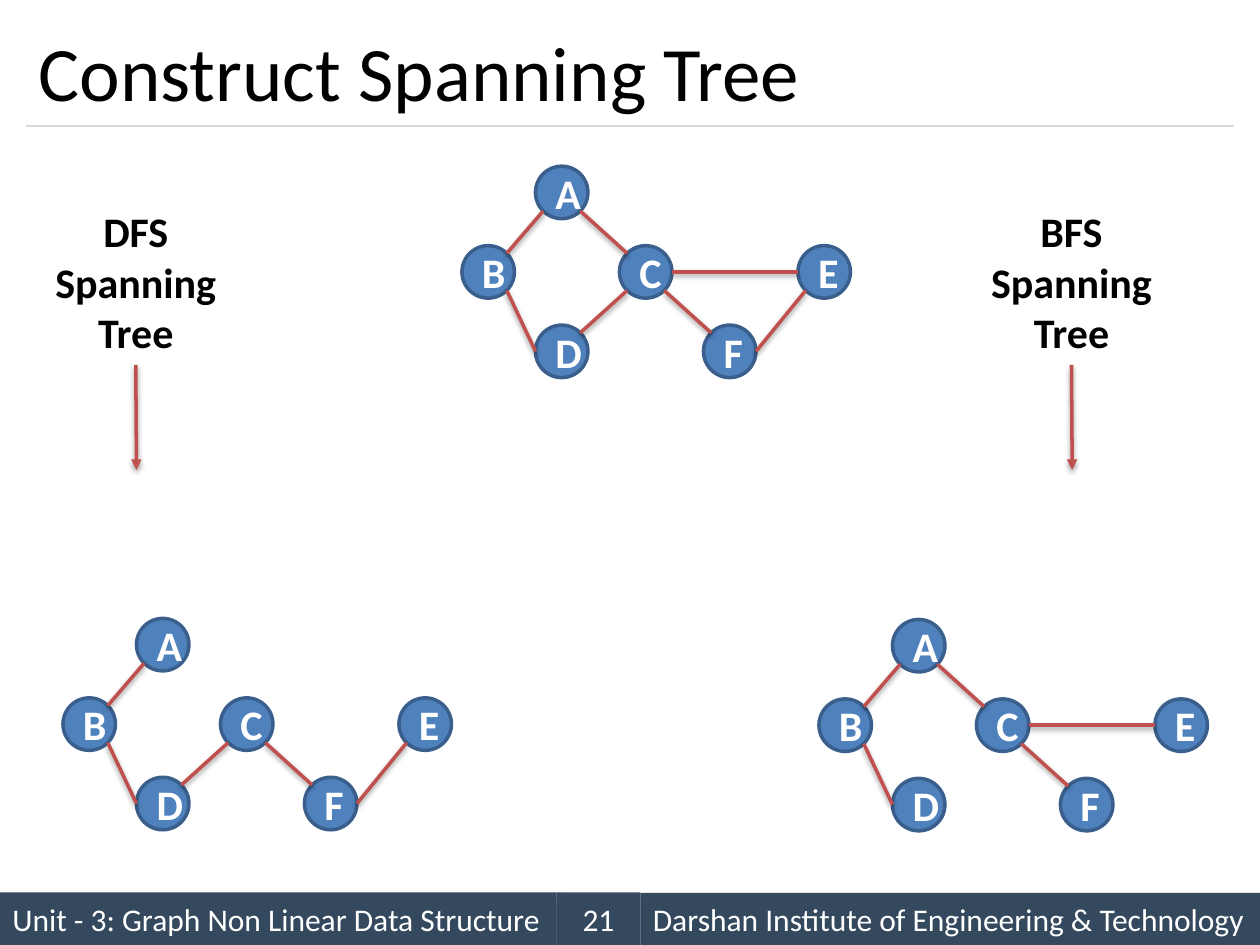
from math import cos, radians, sin

from lxml import etree
from pptx import Presentation
from pptx.dml.color import RGBColor
from pptx.enum.shapes import MSO_CONNECTOR, MSO_SHAPE
from pptx.enum.text import MSO_ANCHOR, PP_ALIGN
from pptx.oxml.ns import qn
from pptx.util import Pt


def rgb(hex_string):
    return RGBColor.from_string(hex_string)


def set_shadow(shape, blur=0, distance=0, angle=0, opacity=0):
    """Give the shape an outer shadow, or none when opacity is 0."""
    effects = etree.SubElement(shape._element.spPr, qn("a:effectLst"))
    if opacity:
        shadow = etree.SubElement(
            effects, qn("a:outerShdw"), blurRad=str(Pt(blur)), dist=str(Pt(distance)),
            dir=str(angle * 60000), rotWithShape="0")
        color = etree.SubElement(shadow, qn("a:srgbClr"), val="000000")
        etree.SubElement(color, qn("a:alpha"), val=str(opacity * 1000))


prs = Presentation()
prs.slide_width, prs.slide_height = Pt(720), Pt(540)
slide = prs.slides.add_slide(prs.slide_layouts[6])
shapes = slide.shapes

# Footer bar
footer = [
    ("Unit - 3: Graph Non Linear Data Structure", 0, 510, 318, PP_ALIGN.LEFT, 40),
    ("Darshan Institute of Engineering & Technology", 366, 510.3, 354, PP_ALIGN.LEFT, 40),
    ("21", 318, 510, 48, PP_ALIGN.CENTER, 0),
]
for text, left, top, width, alignment, opacity in footer:
    band = shapes.add_shape(MSO_SHAPE.RECTANGLE, Pt(left), Pt(top), Pt(width), Pt(30))
    band.fill.solid()
    band.fill.fore_color.rgb = rgb("34495E")
    band.line.fill.background()
    set_shadow(band, 4, 3, 45, opacity)
    paragraph = band.text_frame.paragraphs[0]
    paragraph.alignment = alignment
    run = paragraph.add_run()
    run.text = text
    run.font.name, run.font.size = "Calibri", Pt(18)
    run.font.color.rgb = rgb("FFFFFF")

# Title and the rule below it
title = shapes.add_textbox(Pt(15), Pt(9), Pt(690), Pt(63)).text_frame
title.word_wrap = True
title.vertical_anchor = MSO_ANCHOR.MIDDLE
run = title.paragraphs[0].add_run()
run.text = "Construct Spanning Tree"
run.font.name, run.font.size = "Calibri", Pt(44)
run.font.color.rgb = rgb("000000")

rule = shapes.add_connector(MSO_CONNECTOR.STRAIGHT, Pt(15), Pt(72), Pt(705), Pt(72))
rule.line.color.rgb = rgb("D9D9D9")
rule.line.width = Pt(0.75)
set_shadow(rule)

# Graph layout: node offsets, and the angle at which each edge leaves its two nodes
DIAMETER, ROW = 30, 45.4
offsets = {"A": (42, 0), "B": (0, ROW), "C": (90, ROW),
           "D": (42, 2 * ROW), "E": (192, ROW), "F": (138, 2 * ROW)}
edge_angles = {"AB": (135, 315), "AC": (45, 225), "BD": (45, 180), "DC": (315, 135),
               "CE": (0, 180), "CF": (45, 225), "EF": (135, 0)}
graphs = [
    (264, 95, edge_angles),  # full graph
    (36, 353.4, ["AB", "BD", "DC", "CF", "EF"]),  # DFS tree
    (468, 354, ["AB", "AC", "BD", "CE", "CF"]),  # BFS tree
]
red_lines = []
for left, top, edges in graphs:
    for letter, (dx, dy) in offsets.items():
        node = shapes.add_shape(MSO_SHAPE.OVAL, Pt(left + dx), Pt(top + dy),
                                Pt(DIAMETER), Pt(DIAMETER))
        node.fill.solid()
        node.fill.fore_color.rgb = rgb("4F81BD")
        node.line.color.rgb = rgb("3A5F8C")
        node.line.width = Pt(2)
        node.shadow.inherit = False
        paragraph = node.text_frame.paragraphs[0]
        paragraph.alignment = PP_ALIGN.CENTER
        run = paragraph.add_run()
        run.text = letter
        run.font.name, run.font.size, run.font.bold = "Calibri", Pt(24), True
        run.font.color.rgb = rgb("FFFFFF")
    radius = DIAMETER / 2
    for edge in edges:
        ends = []
        for letter, angle in zip(edge, edge_angles[edge]):
            dx, dy = offsets[letter]
            ends += [left + dx + radius * (1 + cos(radians(angle))),
                     top + dy + radius * (1 + sin(radians(angle)))]
        red_lines.append((ends, False))

# Tree labels, each with an arrow below
for method, center in [("DFS", 77.6), ("BFS", 612.3)]:
    label = shapes.add_textbox(Pt(center - 53.6), Pt(114), Pt(107.2), Pt(94.5)).text_frame
    label.word_wrap = False
    for index, word in enumerate([method, "Spanning", "Tree"]):
        paragraph = label.add_paragraph() if index else label.paragraphs[0]
        paragraph.alignment = PP_ALIGN.CENTER
        run = paragraph.add_run()
        run.text = word
        run.font.name, run.font.size, run.font.bold = "Calibri", Pt(24), True
        run.font.color.rgb = rgb("000000")
    red_lines.append(([center, 208.5, center + 0.4, 268.5], True))

# Edges and arrows
for ends, has_arrowhead in red_lines:
    link = shapes.add_connector(MSO_CONNECTOR.STRAIGHT, *[Pt(value) for value in ends])
    link.line.color.rgb = rgb("C0504D")
    link.line.width = Pt(2)
    if has_arrowhead:
        etree.SubElement(link._element.spPr.find(qn("a:ln")), qn("a:tailEnd"), type="triangle")
    set_shadow(link, 3.1, 1.6, 90, 38)

prs.save("out.pptx")
